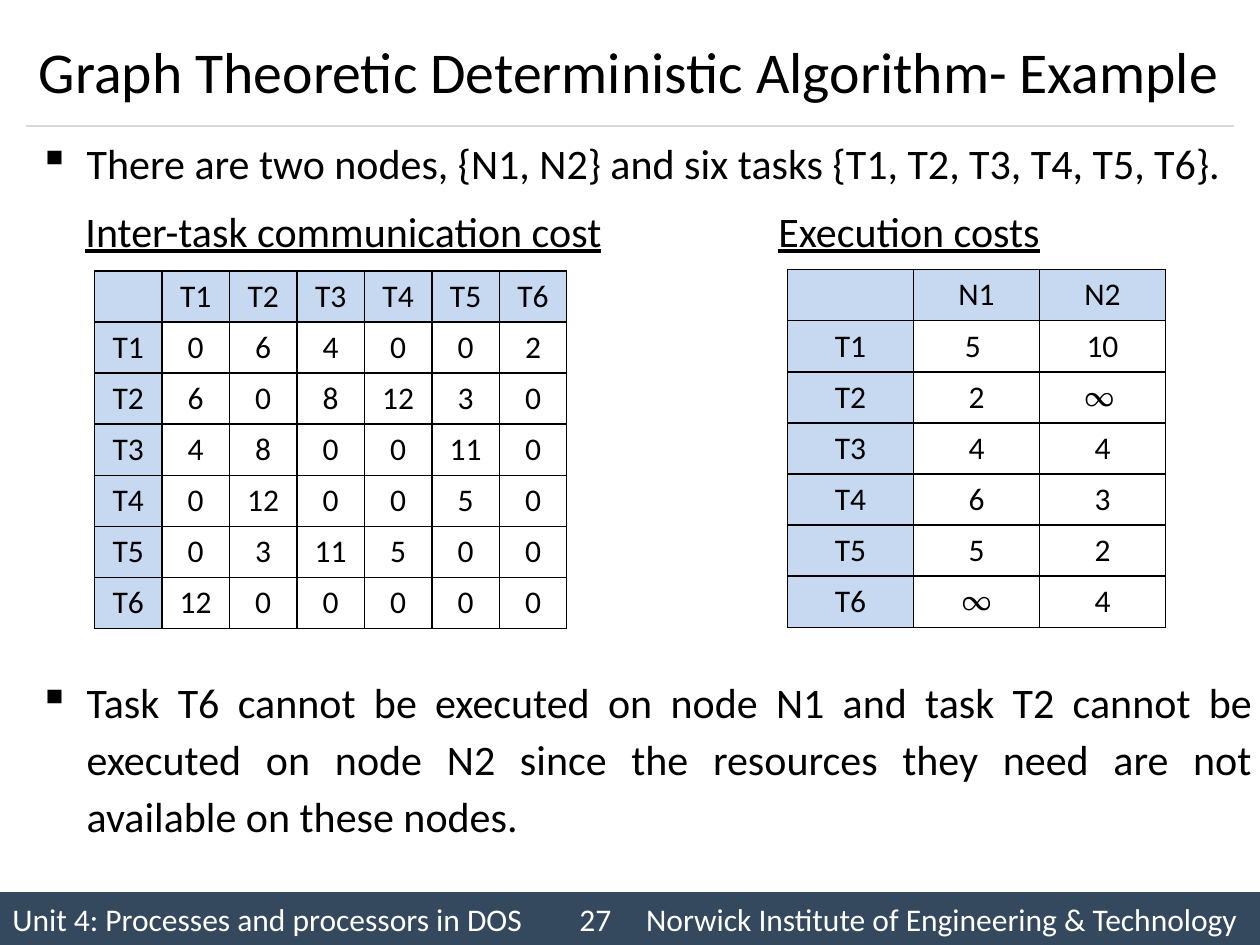
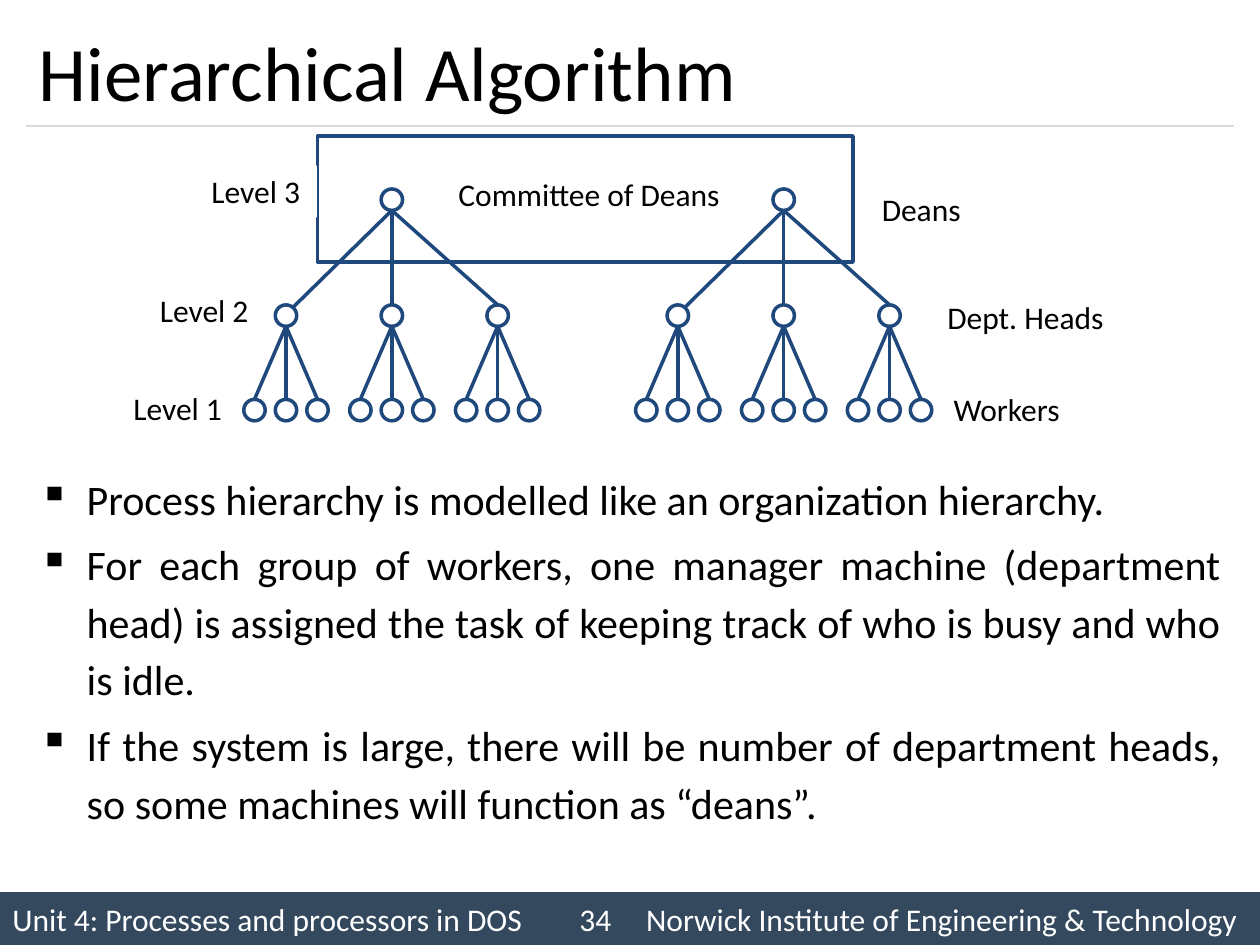
from dataclasses import dataclass

from lxml import etree
from pptx import Presentation
from pptx import util as u
from pptx.dml.color import RGBColor
from pptx.enum import shapes, text
from pptx.oxml.ns import qn


@dataclass(frozen=True)
class Theme:
    font: str = "Calibri"
    symbol_font: str = "Vollkorn"
    ink: str = "000000"
    paper: str = "FFFFFF"
    band: str = "34495E"
    rule: str = "D9D9D9"
    header: str = "C6D9F1"
    node: str = "1F497D"
    title: int = 44
    long_title: int = 33
    body: int = 24
    small: int = 18


T = Theme()
MARGIN, CONTENT_W = 0.21, 9.58
HANG = 0.38
NODE = 0.17
HEAD_GAP, WORKER_GAP = 0.84, 0.25
HEAD_DROP, WORKER_DROP = 0.92, 0.75
UNIT = "Unit 4: Processes and processors in DOS"
INSTITUTE = "Norwick Institute of Engineering & Technology"

TASKS = [f"T{i}" for i in range(1, 7)]
COMMUNICATION = [
    ["0", "6", "4", "0", "0", "2"],
    ["6", "0", "8", "12", "3", "0"],
    ["4", "8", "0", "0", "11", "0"],
    ["0", "12", "0", "0", "5", "0"],
    ["0", "3", "11", "5", "0", "0"],
    ["12", "0", "0", "0", "0", "0"],
]
EXECUTION = [["5 ", "10"], ["2", "∞ "], ["4", "4"],
             ["6", "3"], ["5", "2"], ["∞", "4"]]


def rgb(color):
    return RGBColor.from_string(color)


def sub(parent, tag, **attrs):
    return etree.SubElement(parent, qn(tag), {k: str(v) for k, v in attrs.items()})


def write(p, content, size=T.small, color=T.ink, font=T.font,
          align=None, underline=None):
    r = p.add_run()
    r.text = content
    f = r.font
    f.size, f.name, f.underline = u.Pt(size), font, underline
    f.color.rgb = rgb(color)
    p.alignment = align


def add_text(s, box, content, wrap=True, anchor=text.MSO_ANCHOR.TOP, **fmt):
    tb = s.shapes.add_textbox(*map(u.Inches, box))
    tf = tb.text_frame
    tf.word_wrap, tf.vertical_anchor = wrap, anchor
    write(tf.paragraphs[0], content, **fmt)
    return tb


def add_bullets(s, box, items, spacing=1.14, before=0):
    tf = s.shapes.add_textbox(*map(u.Inches, box)).text_frame
    tf.word_wrap = True
    for i, item in enumerate(items):
        p = tf.add_paragraph() if i else tf.paragraphs[0]
        write(p, item, size=T.body, align=text.PP_ALIGN.JUSTIFY)
        p.line_spacing, p.space_before = spacing, u.Pt(before)
        pPr = p._p.get_or_add_pPr()
        pPr.set("marL", str(u.Inches(HANG)))
        pPr.set("indent", str(-u.Inches(HANG)))
        sub(pPr, "a:buChar", char="▪")


def add_shape(s, kind, box, fill=None, line=None):
    sp = s.shapes.add_shape(kind, *map(u.Inches, box))
    sp.shadow.inherit = False
    if fill:
        sp.fill.solid()
        sp.fill.fore_color.rgb = rgb(fill)
    else:
        sp.fill.background()
    if line:
        sp.line.color.rgb, sp.line.width = rgb(line), u.Pt(2)
    else:
        sp.line.fill.background()
    return sp


def add_line(s, start, end, color, width=2):
    cx = s.shapes.add_connector(shapes.MSO_CONNECTOR.STRAIGHT,
                                *map(u.Inches, (*start, *end)))
    cx.line.color.rgb, cx.line.width = rgb(color), u.Pt(width)
    sub(cx._element.spPr, "a:effectLst")


def add_footer(s, number, top=7.08):
    """Band whose three parts stand on tab stops."""
    sp = add_shape(s, shapes.MSO_SHAPE.RECTANGLE, (0, top, 10, 7.5 - top), fill=T.band)
    sp.text_frame.vertical_anchor = text.MSO_ANCHOR.MIDDLE
    p = sp.text_frame.paragraphs[0]
    write(p, f"{UNIT}\t{number}\t{INSTITUTE}", color=T.paper, align=text.PP_ALIGN.LEFT)
    stops = sub(p._p.get_or_add_pPr(), "a:tabLst")
    for pos in (4.5, 5.03):
        sub(stops, "a:tab", pos=u.Inches(pos), algn="l")


def new_slide(prs, title, number, size=T.title):
    s = prs.slides.add_slide(prs.slide_layouts[6])
    s.background.fill.solid()
    s.background.fill.fore_color.rgb = rgb(T.paper)
    add_footer(s, number)
    add_line(s, (MARGIN, 1), (MARGIN + CONTENT_W, 1), T.rule, 0.75)
    add_text(s, (MARGIN, 0.12, CONTENT_W, 0.88), title, size=size,
             anchor=text.MSO_ANCHOR.MIDDLE)
    return s


def border(cell):
    tcPr = cell._tc.get_or_add_tcPr()
    for i, side in enumerate(("a:lnL", "a:lnR", "a:lnT", "a:lnB")):
        ln = etree.Element(qn(side), w=str(u.Pt(1)))
        sub(sub(ln, "a:solidFill"), "a:srgbClr", val=T.ink)
        tcPr.insert(i, ln)


def add_cost_table(s, box, columns, costs):
    """Table of costs with one row per task and shaded headings."""
    rows = [["", *columns]] + [[t, *row] for t, row in zip(TASKS, costs)]
    tbl = s.shapes.add_table(len(rows), len(rows[0]), *map(u.Inches, box)).table
    for r, row in enumerate(rows):
        for c, value in enumerate(row):
            cell = tbl.cell(r, c)
            if r == 0 or c == 0:
                cell.fill.solid()
                cell.fill.fore_color.rgb = rgb(T.header)
            else:
                cell.fill.background()
            border(cell)
            font = T.symbol_font if "∞" in value else T.font
            write(cell.text_frame.paragraphs[0], value, font=font,
                  align=text.PP_ALIGN.CENTER)


def add_node(s, x, y):
    """Circle centred on x with its top at y."""
    add_shape(s, shapes.MSO_SHAPE.OVAL, (x - NODE / 2, y, NODE, NODE), T.paper, T.node)


def add_branch(s, x, y, gap, drop, left_shift=0):
    """Node with lines to three children; returns the children's places."""
    add_node(s, x, y)
    children = [(x + i * gap, y + drop) for i in (-1, 0, 1)]
    for i, (cx, cy) in enumerate(children):
        shift = 0 if i else left_shift
        add_line(s, (x, y + NODE), (cx + shift, cy + shift / 2), T.node)
    return children


def add_dean_tree(s, x, y):
    for head in add_branch(s, x, y, HEAD_GAP, HEAD_DROP, left_shift=0.05):
        for worker in add_branch(s, *head, WORKER_GAP, WORKER_DROP):
            add_node(s, *worker)


def add_hierarchy(s, left, top):
    """Committee box, two trees of nodes and the names of the levels."""
    add_shape(s, shapes.MSO_SHAPE.RECTANGLE, (left, top, 4.25, 1), T.paper, T.node)
    for dx in (0.59, 3.7):
        add_dean_tree(s, left + dx, top + 0.42)
    labels = [("Level 3", -0.94, 0.24, 0.92), ("Level 2", -1.35, 1.18, 0.92),
              ("Level 1", -1.56, 1.96, 0.92), ("Dept. Heads", 4.9, 1.24, 1.46),
              ("Workers", 4.95, 1.97, 1.05), ("Committee of Deans", 1.02, 0.26, 2.34),
              ("Deans", 4.38, 0.38, 0.84)]
    for name, dx, dy, w in labels:
        tb = add_text(s, (left + dx, top + dy, w, 0.4), name, wrap=False)
        tb.line.color.rgb, tb.line.width = rgb(T.paper), u.Pt(2)


def build_example(prs):
    s = new_slide(prs, "Graph Theoretic Deterministic Algorithm- Example", 27,
                  T.long_title)
    add_bullets(s, (MARGIN, 1.04, CONTENT_W, 0.5),
                ["There are two nodes, {N1, N2} and six tasks {T1, T2, T3, T4, T5, T6}."],
                spacing=1)
    for heading, x, w in (("Inter-task communication cost", 0.58, 5.25),
                          ("Execution costs", 6.08, 2.5)):
        add_text(s, (x, 1.58, w, 0.5), heading, size=T.body, underline=True)
    add_cost_table(s, (0.75, 2.15, 3.75, 2.84), TASKS, COMMUNICATION)
    add_cost_table(s, (6.25, 2.14, 3, 2.84), ["N1", "N2"], EXECUTION)
    add_bullets(s, (MARGIN, 5.26, 9.83, 1.45),
                ["Task T6 cannot be executed on node N1 and task T2 cannot be executed "
                 "on node N2 since the resources they need are not available on these "
                 "nodes."], before=5.8)


def build_hierarchical(prs):
    s = new_slide(prs, "Hierarchical Algorithm", 34)
    add_bullets(s, (MARGIN, 3.65, CONTENT_W, 3.3),
                ["Process hierarchy is modelled like an organization hierarchy.",
                 "For each group of workers, one manager machine (department head) is "
                 "assigned the task of keeping track of who is busy and who is idle.",
                 "If the system is large, there will be number of department heads, so "
                 "some machines will function as “deans”."], before=4.8)
    add_hierarchy(s, 2.52, 1.08)


def main():
    prs = Presentation()
    prs.slide_width, prs.slide_height = u.Inches(10), u.Inches(7.5)
    build_example(prs)
    build_hierarchical(prs)
    prs.save("out.pptx")


if __name__ == "__main__":
    main()
